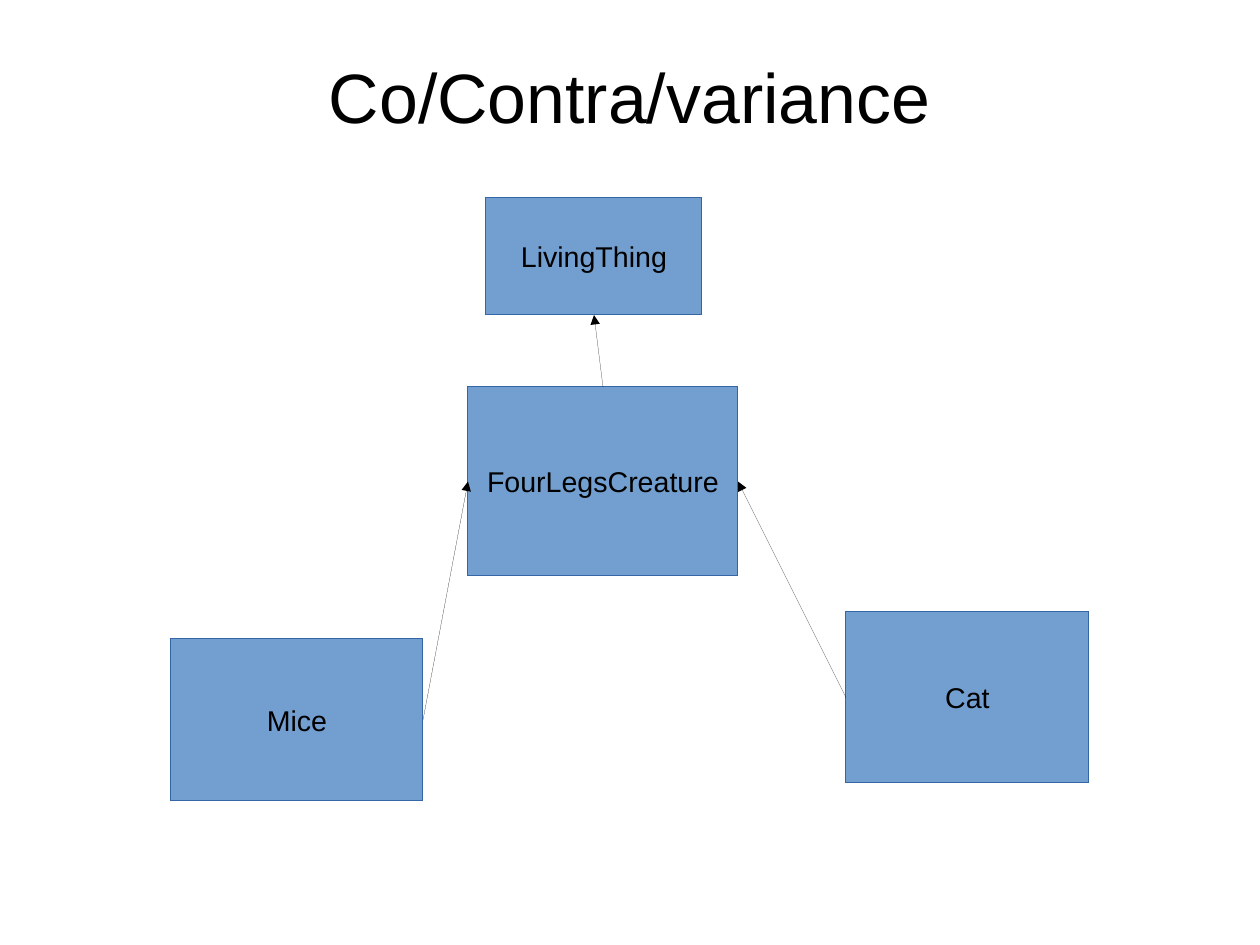
from lxml.etree import SubElement
from pptx import Presentation
from pptx.dml.color import RGBColor
from pptx.enum.shapes import MSO_CONNECTOR, MSO_SHAPE
from pptx.enum.text import MSO_ANCHOR, PP_ALIGN
from pptx.oxml.ns import qn
from pptx.util import Pt

PX = 8000  # EMU in one px
SLIDE_SIZE = (1260, 945)
FONT = "Arial"
COLORS = {"fill": "729FCF", "border": "3465A4", "ink": "000000"}

TITLE = ("Co/Contra/variance", (297, 36, 666, 120))

# Class name: left, top, width, height
CLASSES = {
    "FourLegsCreature": (468, 387, 270, 189),
    "Mice": (171, 639, 252, 162),
    "Cat": (846, 612, 243, 171),
    "LivingThing": (486, 198, 216, 117),
}

# Connection sites of a rectangle
TOP, LEFT, BOTTOM, RIGHT = range(4)

# Subclass, its side, superclass, its side
INHERITANCE = [
    ("Mice", RIGHT, "FourLegsCreature", LEFT),
    ("Cat", LEFT, "FourLegsCreature", RIGHT),
    ("FourLegsCreature", TOP, "LivingThing", BOTTOM),
]


def color(name):
    return RGBColor.from_string(COLORS[name])


def scaled(lengths):
    """Turn px into EMU."""
    return [length * PX for length in lengths]


def write(shape, text, size):
    """Put one centred line of text in the middle of a shape."""
    frame = shape.text_frame
    frame.vertical_anchor = MSO_ANCHOR.MIDDLE
    para = frame.paragraphs[0]
    para.alignment = PP_ALIGN.CENTER
    span = para.add_run()
    span.text = text
    span.font.name = FONT
    span.font.size = Pt(size)
    span.font.color.rgb = color("ink")


def draw_hairline(shape, color_name):
    """Give a shape the thinnest line; a zero width must be written as XML."""
    shape.line.color.rgb = color(color_name)
    outline = shape._element.spPr.find(qn("a:ln"))
    outline.set("w", "0")
    return outline


def add_title(page):
    text, place = TITLE
    box = page.shapes.add_textbox(*scaled(place))
    frame = box.text_frame
    frame.word_wrap = True
    frame.margin_left = frame.margin_right = 0
    frame.margin_top = frame.margin_bottom = 0
    write(box, text, 44)


def add_class(page, name, place):
    box = page.shapes.add_shape(MSO_SHAPE.RECTANGLE, *scaled(place))
    box.shadow.inherit = False
    box.fill.solid()
    box.fill.fore_color.rgb = color("fill")
    draw_hairline(box, "border")
    box.text_frame.word_wrap = False
    write(box, name, 18)
    return box


def add_arrow(page, child, child_side, parent, parent_side):
    arrow = page.shapes.add_connector(MSO_CONNECTOR.STRAIGHT, 0, 0, 0, 0)
    arrow.begin_connect(child, child_side)
    arrow.end_connect(parent, parent_side)
    outline = draw_hairline(arrow, "ink")
    SubElement(outline, qn("a:tailEnd"), type="triangle")
    SubElement(arrow._element.spPr, qn("a:effectLst"))


def main():
    deck = Presentation()
    deck.slide_width, deck.slide_height = scaled(SLIDE_SIZE)
    page = deck.slides.add_slide(deck.slide_layouts[6])
    add_title(page)
    boxes = {name: add_class(page, name, place) for name, place in CLASSES.items()}
    for child, child_side, parent, parent_side in INHERITANCE:
        add_arrow(page, boxes[child], child_side, boxes[parent], parent_side)
    deck.save("out.pptx")


if __name__ == "__main__":
    main()
